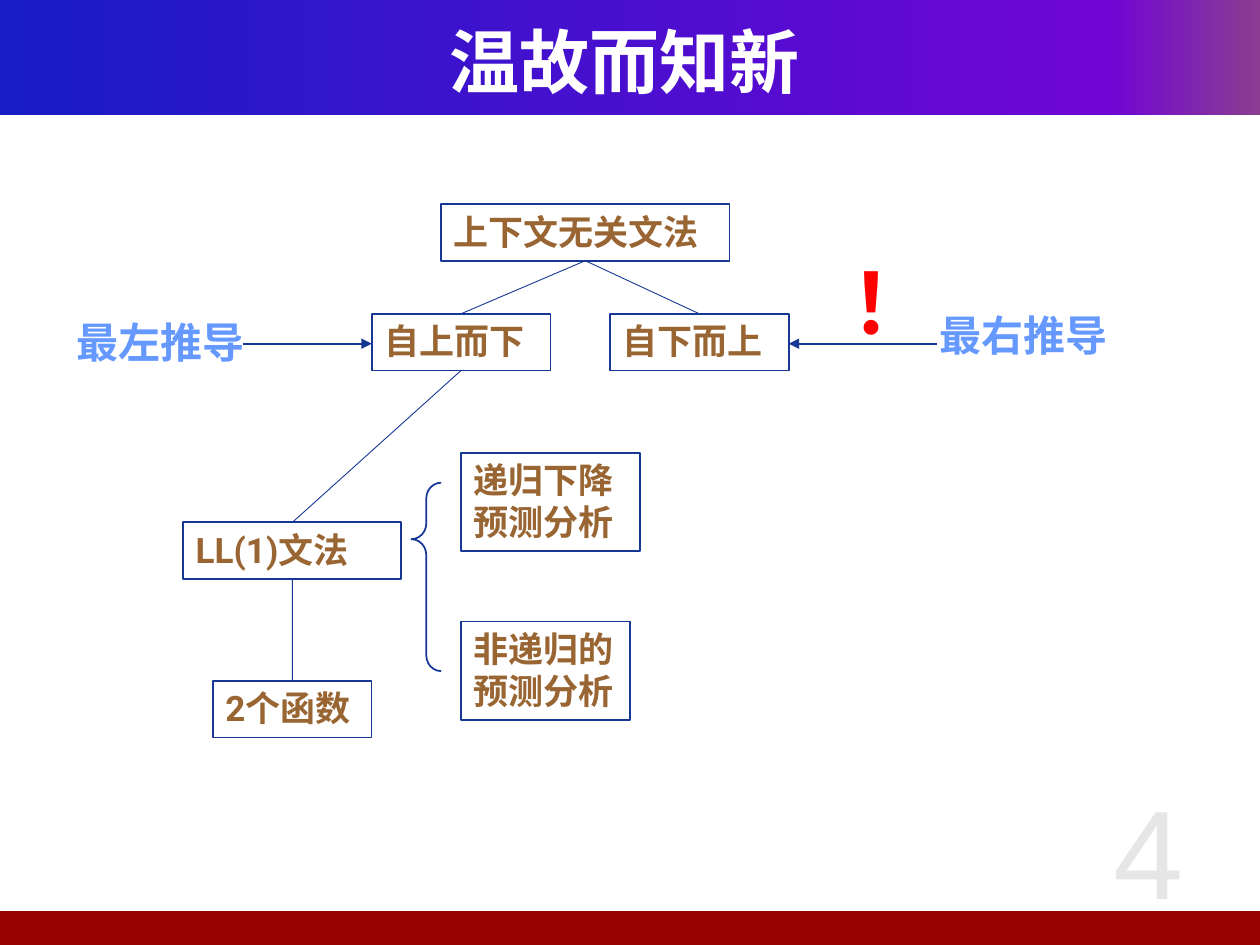
from copy import deepcopy
from dataclasses import dataclass

from lxml import etree
from pptx import Presentation
from pptx import util as u
from pptx.dml.color import RGBColor
from pptx.enum import shapes, text
from pptx.oxml.ns import qn


@dataclass(frozen=True)
class Theme:
    """Colours, fonts and type sizes of the slide."""
    latin: str = "Roboto"
    asian: str = "Noto Sans CJK SC"
    number_font: str = "Arial"
    white: str = "FFFFFF"
    outline: str = "163794"
    node: str = "996633"
    label: str = "6699FF"
    alert: str = "FF0000"
    number: str = "E6E6E6"
    footer: str = "990000"
    band: tuple = ((0, "181CC7"), (0.88, "7005D4"), (1, "8C3D91"))
    title_size: int = 40
    node_size: int = 20
    label_size: int = 24
    alert_size: int = 48
    number_size: int = 72


class Canvas:
    """Draws styled elements on the current slide, with lengths in points."""

    def __init__(self, slide, theme):
        self.slide = slide
        self.theme = theme

    def add_words(self, shape, words, size, colour, font=None, bold=True,
                  align=text.PP_ALIGN.LEFT, anchor=text.MSO_ANCHOR.TOP, grow=True):
        frame = shape.text_frame
        frame.word_wrap = True
        frame.auto_size = (text.MSO_AUTO_SIZE.SHAPE_TO_FIT_TEXT if grow
                           else text.MSO_AUTO_SIZE.NONE)
        frame.vertical_anchor = anchor
        paragraph = frame.paragraphs[0]
        paragraph.alignment = align
        run = paragraph.add_run()
        run.text = words
        run.font.size = u.Pt(size)
        run.font.bold = bold
        run.font.color.rgb = RGBColor.from_string(colour)
        run.font.name = font or self.theme.latin
        etree.SubElement(run.font._element, qn("a:ea"), typeface=self.theme.asian)

    def shape(self, kind, box, outline=False):
        shape = self.slide.shapes.add_shape(kind, *map(u.Pt, box))
        shape.shadow.inherit = False
        shape.fill.background()
        if outline:
            shape.line.color.rgb = RGBColor.from_string(self.theme.outline)
            shape.line.width = u.Pt(1)
        else:
            shape.line.fill.background()
        return shape

    def gradient_band(self, box):
        fill = self.shape(shapes.MSO_SHAPE.RECTANGLE, box).fill
        fill.gradient()
        fill.gradient_angle = 0
        first = fill.gradient_stops[0]._gs
        first.addnext(deepcopy(first))
        for stop, (position, colour) in zip(fill.gradient_stops, self.theme.band):
            stop.position = position
            stop.color.rgb = RGBColor.from_string(colour)

    def solid_band(self, box, colour):
        fill = self.shape(shapes.MSO_SHAPE.RECTANGLE, box).fill
        fill.solid()
        fill.fore_color.rgb = RGBColor.from_string(colour)

    def title(self, box, words):
        shape = self.slide.shapes.title
        shape.left, shape.top, shape.width, shape.height = map(u.Pt, box)
        self.add_words(shape, words, self.theme.title_size, self.theme.white,
                       self.theme.asian, align=text.PP_ALIGN.CENTER,
                       anchor=text.MSO_ANCHOR.MIDDLE, grow=False)
        self.slide.shapes._spTree.append(shape._element)

    def node(self, left, top, width, words, height=32.4):
        shape = self.shape(shapes.MSO_SHAPE.RECTANGLE, (left, top, width, height), True)
        self.add_words(shape, words, self.theme.node_size, self.theme.node)
        return shape

    def brace(self, box):
        shape = self.shape(shapes.MSO_SHAPE.LEFT_BRACE, box, True)
        shape.adjustments[0] = 0.53
        shape.adjustments[1] = 0.3

    def label(self, box, words, size, colour, **style):
        shape = self.slide.shapes.add_textbox(*map(u.Pt, box))
        self.add_words(shape, words, size, colour, **style)

    def line(self, start, end, width):
        line = self.slide.shapes.add_connector(
            shapes.MSO_CONNECTOR.STRAIGHT, *map(u.Pt, start + end))
        line.line.color.rgb = RGBColor.from_string(self.theme.outline)
        line.line.width = u.Pt(width)
        etree.SubElement(line._element.spPr, qn("a:effectLst"))
        return line

    def branch(self, parent, child):
        line = self.line((0, 0), (0, 0), 0.5)
        line.begin_connect(parent, 2)
        line.end_connect(child, 0)

    def arrow(self, start, end):
        line = self.line(start, end, 1)
        etree.SubElement(line.line._get_or_add_ln(), qn("a:tailEnd"), type="triangle")


def main():
    """Build the parsing overview slide."""
    presentation = Presentation()
    presentation.slide_width, presentation.slide_height = u.Pt(720), u.Pt(540)
    slide = presentation.slides.add_slide(presentation.slide_layouts[5])
    theme = Theme()
    canvas = Canvas(slide, theme)

    canvas.gradient_band((0, 0, 720, 65.5))
    canvas.solid_band((-2.9, 520.6, 722.9, 19.4), theme.footer)
    canvas.label((592.6, 434.2, 127.4, 102.2), "4", theme.number_size, theme.number,
                 font=theme.number_font, bold=False, align=text.PP_ALIGN.CENTER,
                 anchor=text.MSO_ANCHOR.MIDDLE, grow=False)

    grammar = canvas.node(252, 116.6, 164.9, "上下文无关文法")
    top_down = canvas.node(212.4, 179.3, 102.2, "自上而下")
    bottom_up = canvas.node(348.5, 179.3, 102.2, "自下而上")
    ll_grammar = canvas.node(104.8, 298.5, 124.6, "LL(1)文法")
    functions = canvas.node(121.7, 389, 90.7, "2个函数")
    canvas.brace((235.1, 275.8, 17, 107.7))
    canvas.node(263.4, 258.7, 102.2, "递归下降预测分析", 56.2)
    canvas.node(263.4, 355.1, 96.5, "非递归的预测分析", 56.2)

    for parent, child in ((grammar, top_down), (grammar, bottom_up),
                          (top_down, ll_grammar), (ll_grammar, functions)):
        canvas.branch(parent, child)
    canvas.arrow((139, 196.4), (212.4, 196.4))
    canvas.arrow((535.7, 196.4), (450.7, 196.4))

    for left, top, words in ((36.7, 177.1, "最左推导"), (529.9, 173.5, "最右推导")):
        canvas.label((left, top, 118.8, 36), words, theme.label_size, theme.label)
    canvas.label((478.8, 139.7, 51.1, 64.8), "！", theme.alert_size, theme.alert)
    canvas.title((23.8, 12.2, 666, 44.6), "温故而知新")
    presentation.save("out.pptx")


if __name__ == "__main__":
    main()
